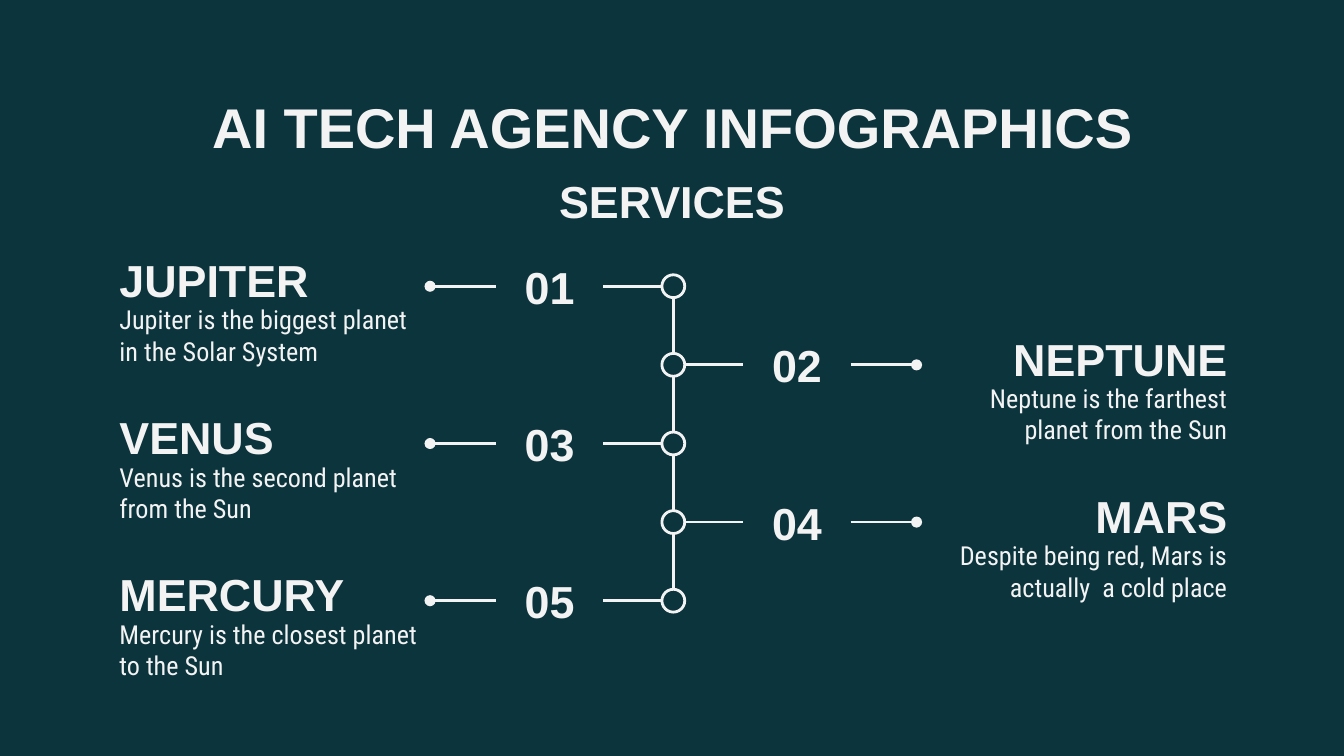
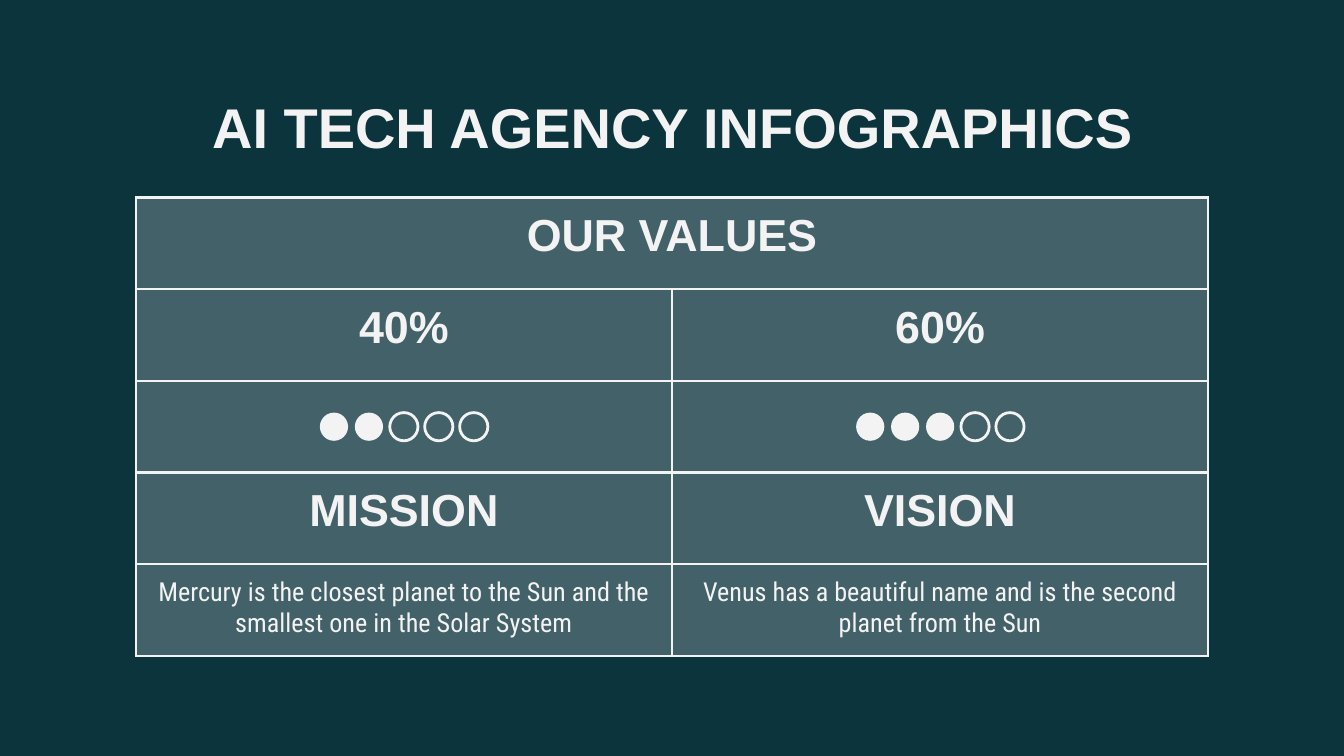
import pptx
import pptx.dml.color
import pptx.enum.shapes
import pptx.enum.text
import pptx.oxml
import pptx.oxml.ns
import pptx.util
from lxml import etree

Inches = pptx.util.Inches
Pt = pptx.util.Pt
ALIGN = pptx.enum.text.PP_ALIGN
ANCHOR = pptx.enum.text.MSO_ANCHOR
qn = pptx.oxml.ns.qn

# Shared look
BACKGROUND = "0C343D"
LIGHT = "F3F3F3"
LINE_WIDTH = Pt(1.5)
MARGIN = 0.1
TITLE = {"name": "Arial", "size": Pt(30), "bold": True}
HEADING = {"name": "Arial", "size": Pt(24), "bold": True}
BODY = {"name": "Roboto Condensed", "size": Pt(14), "bold": False}

SERVICES = [
    ("JUPITER", "Jupiter is the biggest planet in the Solar System"),
    ("NEPTUNE", "Neptune is the farthest planet from the Sun"),
    ("VENUS", "Venus is the second planet from the Sun"),
    ("MARS", "Despite being red, Mars is actually  a cold place"),
    ("MERCURY", "Mercury is the closest planet to the Sun"),
]
# Each value: share, filled dots, name, description
VALUES = [
    ("40%", 2, "MISSION",
     "Mercury is the closest planet to the Sun and the smallest one in the Solar System"),
    ("60%", 3, "VISION",
     "Venus has a beautiful name and is the second planet from the Sun"),
]


def color(hex_value):
    return pptx.dml.color.RGBColor.from_string(hex_value)


def write(frame, text, style, align):
    frame.word_wrap = True
    paragraph = frame.paragraphs[0]
    paragraph.alignment = align
    run = paragraph.add_run()
    run.text = text
    for attribute, value in style.items():
        setattr(run.font, attribute, value)
    run.font.color.rgb = color(LIGHT)


def add_text(slide, box, text, style, align=ALIGN.CENTER, anchor=ANCHOR.TOP):
    frame = slide.shapes.add_textbox(*map(Inches, box)).text_frame
    settings = {"vertical_anchor": anchor}
    for side in ("left", "top", "right", "bottom"):
        settings["margin_" + side] = Inches(MARGIN)
    for attribute, value in settings.items():
        setattr(frame, attribute, value)
    write(frame, text, style, align)


def add_circle(slide, center_x, center_y, size, filled=False):
    circle = slide.shapes.add_shape(
        pptx.enum.shapes.MSO_SHAPE.OVAL,
        Inches(center_x - size / 2), Inches(center_y - size / 2),
        Inches(size), Inches(size))
    circle.shadow.inherit = False
    if filled:
        circle.fill.solid()
        circle.fill.fore_color.rgb = color(LIGHT)
        circle.line.fill.background()
    else:
        circle.fill.background()
        circle.line.color.rgb = color(LIGHT)
        circle.line.width = LINE_WIDTH


def add_line(slide, start, end, dot_end=False):
    line = slide.shapes.add_connector(
        pptx.enum.shapes.MSO_CONNECTOR.STRAIGHT, *map(Inches, (*start, *end)))
    line.line.color.rgb = color(LIGHT)
    line.line.width = LINE_WIDTH
    properties = line.element.spPr
    if dot_end:
        etree.SubElement(properties.find(qn("a:ln")), qn("a:tailEnd"), type="oval")
    etree.SubElement(properties, qn("a:effectLst"))


def add_base_slide(deck):
    """Dark slide with the shared title."""
    slide = deck.slides.add_slide(deck.slide_layouts[6])
    slide.background.fill.solid()
    slide.background.fill.fore_color.rgb = color(BACKGROUND)
    add_text(slide, (0.79, 0.59, 8.43, 0.63), "AI TECH AGENCY INFOGRAPHICS", TITLE)
    return slide


def add_service(slide, box, number, name, description, side):
    """One timeline entry; side is -1 left of the spine, 1 right of it."""
    left, top, width, height = box
    spine = left + width / 2
    line_y = top + height / 2
    copy_width, number_width = 2.42, 0.8
    copy_left = spine + side * 3.01 - copy_width / 2
    number_left = spine + side * 0.92 - number_width / 2
    align = ALIGN.LEFT if side < 0 else ALIGN.RIGHT

    # Name, description and number
    add_text(slide, (copy_left, line_y + 0.03, copy_width, 0.53),
             description, BODY, align)
    add_text(slide, (copy_left, top, copy_width, height),
             name, HEADING, align, ANCHOR.BOTTOM)
    add_text(slide, (number_left, top, number_width, height),
             f"{number:02}", HEADING, anchor=ANCHOR.MIDDLE)

    # Lines on both sides of the number
    for near, far, dot_end in ((0.09, 0.52, False), (1.32, 1.81, True)):
        add_line(slide, (spine + side * near, line_y),
                 (spine + side * far, line_y), dot_end)


def add_timeline(slide, box):
    left, top, width, height = box
    entry_height, node = 0.5, 0.17
    step = (height - entry_height) / (len(SERVICES) - 1)
    spine = left + width / 2
    for index, (name, description) in enumerate(SERVICES):
        entry_top = top + index * step
        node_y = entry_top + entry_height / 2
        add_circle(slide, spine, node_y, node)
        if index:
            add_line(slide, (spine, node_y - step + node / 2), (spine, node_y - node / 2))
        add_service(slide, (left, entry_top, width, entry_height),
                    index + 1, name, description, 1 if index % 2 else -1)


def style_cell(cell):
    """Translucent fill and light borders on all sides."""
    cell.fill.solid()
    cell.fill.fore_color.rgb = color(LIGHT)
    properties = cell._tc.get_or_add_tcPr()
    fill_color = properties.find(qn("a:solidFill")).find(qn("a:srgbClr"))
    etree.SubElement(fill_color, qn("a:alpha"), val="24000")
    for position, edge in enumerate(("a:lnL", "a:lnR", "a:lnT", "a:lnB")):
        border = etree.Element(qn(edge), w=str(LINE_WIDTH))
        fill = etree.SubElement(border, qn("a:solidFill"))
        etree.SubElement(fill, qn("a:srgbClr"), val=LIGHT)
        properties.insert(position, border)
    for side in ("left", "top", "right", "bottom"):
        setattr(cell, "margin_" + side, Inches(MARGIN))


def add_rating(slide, box, filled_count, total=5):
    left, top, width, height = box
    pitch = 0.26
    first_x = left + width / 2 - pitch * (total - 1) / 2
    for index in range(total):
        add_circle(slide, first_x + index * pitch, top + height / 2,
                   0.21, index < filled_count)


def add_values_table(slide, box):
    left, top, width, height = box
    row_count, rating_row = 5, 2
    row_height, column_width = height / row_count, width / len(VALUES)
    table = slide.shapes.add_table(row_count, len(VALUES), *map(Inches, box)).table
    table.first_row = table.horz_banding = False
    for row in table.rows:
        row.height = Inches(row_height)
    for cell in table.iter_cells():
        style_cell(cell)

    # Header across both columns
    header = table.cell(0, 0)
    header.merge(table.cell(0, len(VALUES) - 1))
    write(header.text_frame, "OUR VALUES", HEADING, ALIGN.CENTER)

    # One column per value
    for column, (share, filled_count, name, description) in enumerate(VALUES):
        for row, text, style in ((1, share, HEADING), (3, name, HEADING),
                                 (4, description, BODY)):
            write(table.cell(row, column).text_frame, text, style, ALIGN.CENTER)
        add_rating(slide, (left + column * column_width, top + rating_row * row_height,
                           column_width, row_height), filled_count)


def build_services_slide(deck):
    slide = add_base_slide(deck)
    add_text(slide, (3.72, 1.29, 2.56, 0.5), "SERVICES", HEADING, anchor=ANCHOR.BOTTOM)
    add_timeline(slide, (0.79, 1.88, 8.44, 2.84))


def build_values_slide(deck):
    slide = add_base_slide(deck)
    add_values_table(slide, (1.01, 1.47, 7.98, 3.41))


def main():
    deck = pptx.Presentation()
    deck.slide_width, deck.slide_height = Inches(10), Inches(5.625)
    build_services_slide(deck)
    build_values_slide(deck)
    deck.save("out.pptx")


if __name__ == "__main__":
    main()
